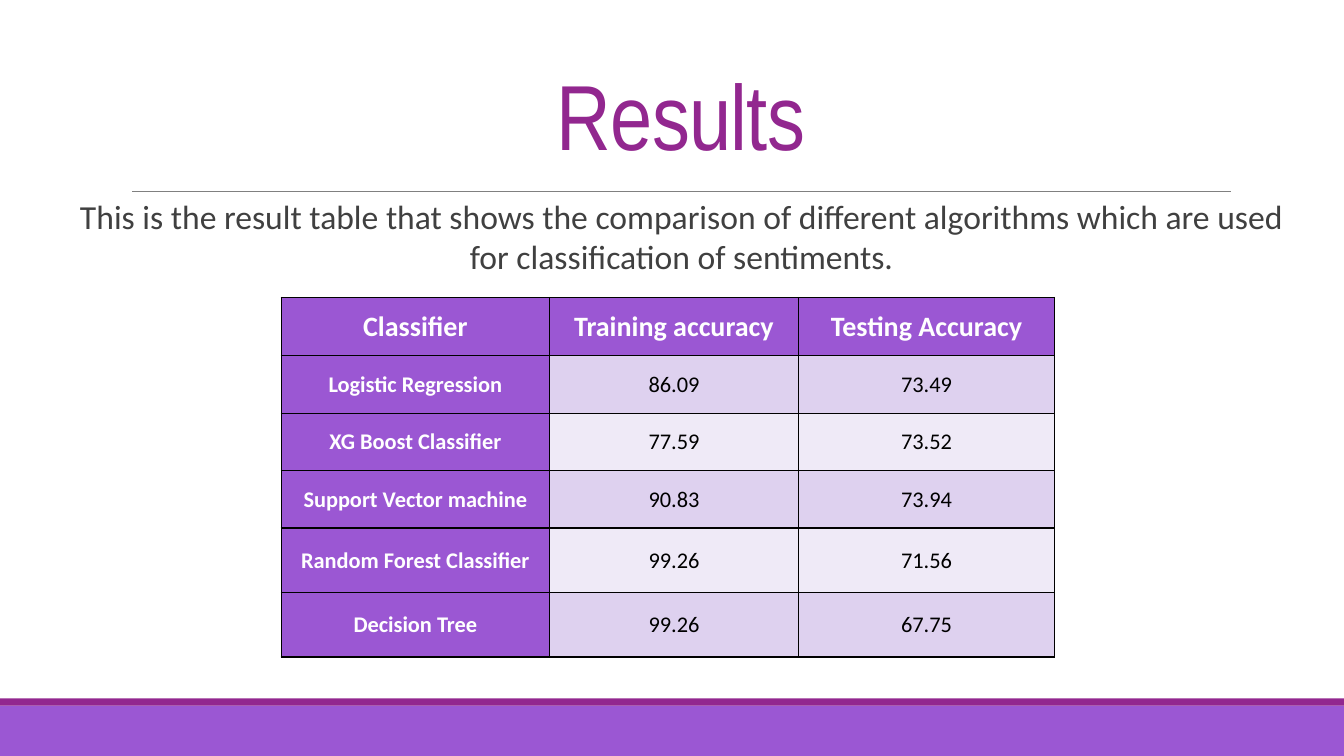
from dataclasses import dataclass

from lxml.etree import SubElement
from pptx import Presentation
from pptx.dml.color import RGBColor
from pptx.enum.shapes import MSO_CONNECTOR, MSO_SHAPE
from pptx.enum.text import MSO_ANCHOR, PP_ALIGN
from pptx.oxml.ns import qn
from pptx.slide import Slide
from pptx.table import _Cell
from pptx.text.text import TextFrame
from pptx.util import Inches, Pt

COLORS = {
    "purple": "9B57D3",
    "plum": "92278F",
    "rule": "808080",
    "body": "404040",
    "white": "FFFFFF",
    "black": "000000",
    "dark_band": "DED1EF",
    "light_band": "EFEAF7",
}


@dataclass
class Bar:
    top: float
    height: float
    color: str


@dataclass
class Result:
    classifier: str
    training: str
    testing: str
    height: float


BARS = [Bar(7, 0.5, "purple"), Bar(6.93, 0.07, "plum")]
HEADER = Result("Classifier", "Training accuracy", "Testing Accuracy", 0.58)
RESULTS = [
    Result("Logistic Regression", "86.09", "73.49", 0.57),
    Result("XG Boost Classifier", "77.59", "73.52", 0.57),
    Result("Support Vector machine", "90.83", "73.94", 0.57),
    Result("Random Forest Classifier", "99.26", "71.56", 0.64),
    Result("Decision Tree", "99.26", "67.75", 0.64),
]
COLUMN_WIDTHS = [2.66, 2.47, 2.54]


def rgb(name: str) -> RGBColor:
    return RGBColor.from_string(COLORS[name])


def write_text(frame: TextFrame, text: str, *, size: float, color: str,
               font: str = "Calibri", bold: bool = False,
               line_spacing: float = 1.0, tracking: int = 0) -> None:
    frame.word_wrap = True
    para = frame.paragraphs[0]
    para.alignment = PP_ALIGN.CENTER
    para.line_spacing = line_spacing
    para.space_before = Pt(0)
    span = para.add_run()
    span.text = text
    span.font.name = font
    span.font.size = Pt(size)
    span.font.bold = bold
    span.font.color.rgb = rgb(color)
    if tracking:
        span.font._element.set("spc", str(tracking))


def add_bar(page: Slide, bar: Bar) -> None:
    shape = page.shapes.add_shape(MSO_SHAPE.RECTANGLE, Inches(0), Inches(bar.top),
                                  Inches(13.33), Inches(bar.height))
    shape.shadow.inherit = False
    shape.fill.solid()
    shape.fill.fore_color.rgb = rgb(bar.color)
    shape.line.fill.background()


def add_rule(page: Slide) -> None:
    rule = page.shapes.add_connector(MSO_CONNECTOR.STRAIGHT, Inches(1.31), Inches(1.9),
                                     Inches(12.21), Inches(1.9))
    rule.line.color.rgb = rgb("rule")
    rule.line.width = Pt(0.5)
    SubElement(rule._element.spPr, qn("a:effectLst"))


def add_title(page: Slide) -> None:
    title = page.shapes.title
    title.left, title.top = Inches(4.76), Inches(0.69)
    title.width, title.height = Inches(3.99), Inches(1.04)
    title.text_frame.vertical_anchor = MSO_ANCHOR.BOTTOM
    write_text(title.text_frame, "Results", size=66, color="plum",
               font="Arial Narrow", line_spacing=0.85, tracking=-50)


def add_summary(page: Slide) -> None:
    box = page.shapes.add_textbox(Inches(0.61), Inches(1.89), Inches(12.3), Inches(4.62))
    box.text_frame.margin_left = box.text_frame.margin_right = 0
    write_text(box.text_frame,
               "This is the result table that shows the comparison of different "
               "algorithms which are used for classification of sentiments.",
               size=24, color="body")


def format_cell(cell: _Cell, fill: str) -> None:
    cell.vertical_anchor = MSO_ANCHOR.MIDDLE
    cell.margin_left = cell.margin_right = Inches(0.07)
    cell.margin_top = cell.margin_bottom = 0
    properties = cell._tc.get_or_add_tcPr()
    for side in ("a:lnL", "a:lnR", "a:lnT", "a:lnB"):
        border = SubElement(properties, qn(side), w=str(Pt(1)))
        paint = SubElement(border, qn("a:solidFill"))
        SubElement(paint, qn("a:srgbClr"), val=COLORS["black"])
    cell.fill.solid()
    cell.fill.fore_color.rgb = rgb(fill)


def add_results(page: Slide) -> None:
    rows = [HEADER, *RESULTS]
    frame = page.shapes.add_table(len(rows), len(COLUMN_WIDTHS), Inches(2.79), Inches(2.95),
                                  Inches(sum(COLUMN_WIDTHS)),
                                  Inches(sum(row.height for row in rows)))
    table = frame.table
    for column, width in zip(table.columns, COLUMN_WIDTHS):
        column.width = Inches(width)
    for i, row in enumerate(rows):
        table.rows[i].height = Inches(row.height)
        band = "dark_band" if i % 2 else "light_band"
        for j, text in enumerate((row.classifier, row.training, row.testing)):
            heading = i == 0 or j == 0
            cell = table.cell(i, j)
            format_cell(cell, "purple" if heading else band)
            write_text(cell.text_frame, text, size=20 if i == 0 else 16,
                       color="white" if heading else "black", bold=heading)


def main() -> None:
    deck = Presentation()
    deck.slide_width, deck.slide_height = Inches(13.33), Inches(7.5)
    page = deck.slides.add_slide(deck.slide_layouts[5])
    for bar in BARS:
        add_bar(page, bar)
    add_rule(page)
    add_title(page)
    add_summary(page)
    add_results(page)
    deck.save("out.pptx")


if __name__ == "__main__":
    main()
